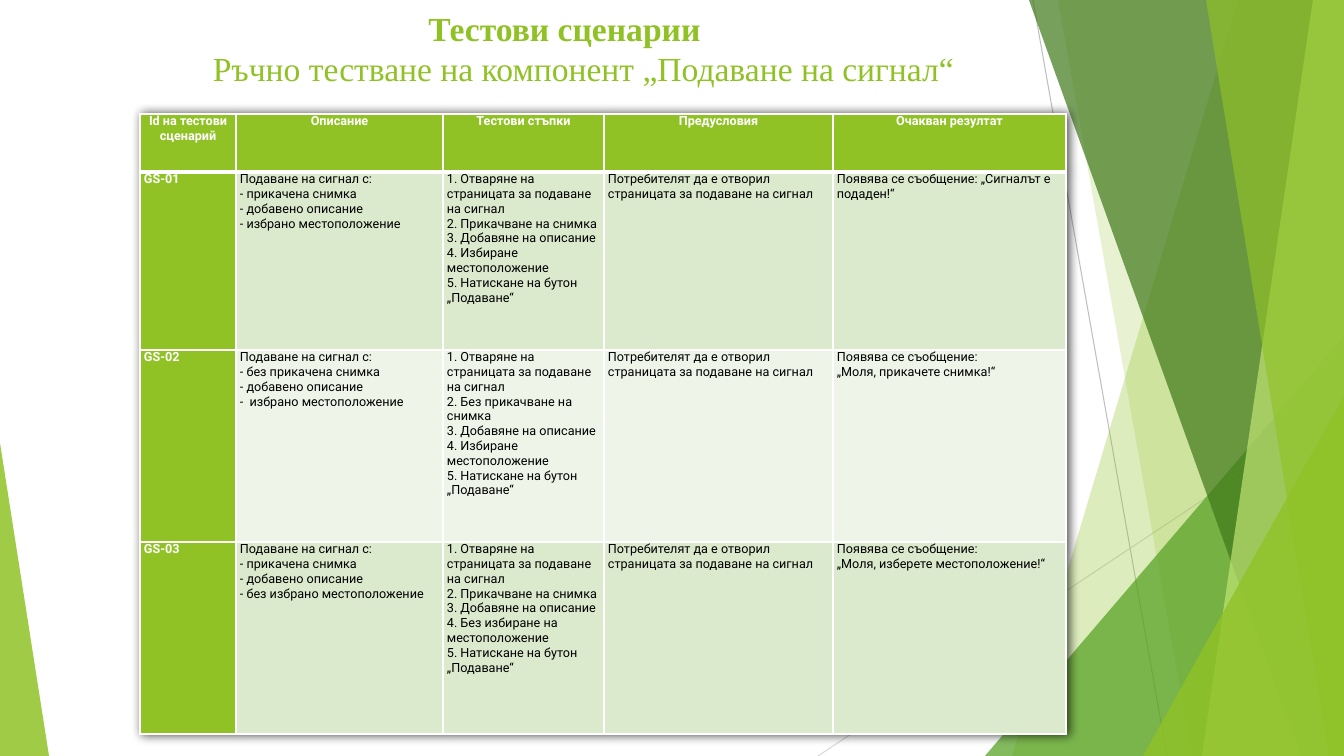
from lxml import etree
from pptx import Presentation
from pptx.dml.color import RGBColor
from pptx.enum.shapes import MSO_CONNECTOR as Connector, MSO_SHAPE as Shape
from pptx.enum.text import MSO_ANCHOR as Anchor, PP_ALIGN as Align
from pptx.oxml import parse_xml
from pptx.oxml.ns import nsdecls, qn
from pptx.util import Emu, Pt

WIDTH, HEIGHT = 1344, 756
GREEN, WHITE, BLACK = "90C226", "FFFFFF", "000000"
BANDS = ["DBE9CD", "EEF4E8"]

TITLE = [("Тестови сценарии", True),
         ("Ръчно тестване на компонент „Подаване на сигнал“", False)]
TITLE_BOX = (91, 0, 947, 145)
TITLE_INDENT = 38

HEADERS = ["Id на тестови сценарий", "Описание", "Тестови стъпки",
           "Предусловия", "Очакван резултат"]
INTRO = "Подаване на сигнал с:"
OPEN_PAGE = "1. Отваряне на страницата за подаване на сигнал"
ADD_PHOTO = "2. Прикачване на снимка"
ADD_TEXT = "3. Добавяне на описание"
PICK_PLACE = "4. Избиране местоположение"
SUBMIT = "5. Натискане на бутон „Подаване“"
PRECONDITION = "Потребителят да е отворил страницата за подаване на сигнал"
MESSAGE = "Появява се съобщение:"
SCENARIOS = [
    (["GS-01"],
     [INTRO, "- прикачена снимка", "- добавено описание", "- избрано местоположение"],
     [OPEN_PAGE, ADD_PHOTO, ADD_TEXT, PICK_PLACE, SUBMIT],
     [PRECONDITION],
     [MESSAGE + " „Сигналът е подаден!“"]),
    (["GS-02"],
     [INTRO, "- без прикачена снимка", "- добавено описание", "-  избрано местоположение"],
     [OPEN_PAGE, "2. Без прикачване на снимка", ADD_TEXT, PICK_PLACE, SUBMIT],
     [PRECONDITION],
     [MESSAGE, "„Моля, прикачете снимка!“"]),
    (["GS-03"],
     [INTRO, "- прикачена снимка", "- добавено описание", "- без избрано местоположение"],
     [OPEN_PAGE, ADD_PHOTO, ADD_TEXT, "4. Без избиране на местоположение", SUBMIT],
     [PRECONDITION],
     [MESSAGE, "„Моля, изберете местоположение!“"]),
]
TABLE_LEFT, TABLE_TOP = 140, 114
COLUMNS = [96, 207, 161, 229, 233]
ROWS = [58, 178, 192, 192]

# start, end, colour
LINES = [((1033, 0), (1167, HEIGHT), "BFBFBF"),
         ((WIDTH, 406), (818, HEIGHT), "D9D9D9")]
# Wedges: top x, bottom x (both run to the right edge).
# Triangles: left, top, width, apex position (all stand on the bottom edge).
FACETS = [
    ("wedge", (1238, 1012), GREEN, 30),
    ("wedge", (1058, 1192), GREEN, 20),
    ("triangle", (985, 336, 359, 1), "54A021", 72),
    ("wedge", (1029, 1301), "3F7819", 70),
    ("wedge", (1313, 1202), "C0E474", 70),
    ("wedge", (1206, 1329), GREEN, 65),
    ("triangle", (1143, 396, 201, 1), GREEN, 80),
    ("triangle", (0, 443, 49, 0), GREEN, 85),
]


def px(length):
    return Emu(round(length * 914400 / 100.8))


def color(value):
    return RGBColor.from_string(value)


def add_run(paragraph, text, font_name, size, value, bold):
    run = paragraph.add_run()
    run.text = text
    run.font.name = font_name
    run.font.size = Pt(size)
    run.font.bold = bold
    run.font.color.rgb = color(value)


def add_line(slide, start, end, value):
    line = slide.shapes.add_connector(Connector.STRAIGHT, *map(px, start + end))
    line.line.color.rgb = color(value)
    line.line.width = Pt(0.75)
    etree.SubElement(line._element.spPr, qn("a:effectLst"))


def add_facet(slide, kind, geometry, value, opacity):
    if kind == "wedge":
        top, bottom = geometry
        builder = slide.shapes.build_freeform(px(top), px(0))
        corners = [(WIDTH, 0), (WIDTH, HEIGHT), (bottom, HEIGHT)]
        builder.add_line_segments([(px(x), px(y)) for x, y in corners], close=True)
        shape = builder.convert_to_shape()
    else:
        left, top, width, apex = geometry
        shape = slide.shapes.add_shape(Shape.ISOSCELES_TRIANGLE, px(left), px(top),
                                       px(width), px(HEIGHT - top))
        shape.adjustments[0] = apex
    shape.shadow.inherit = False
    shape.line.fill.background()
    shape.fill.solid()
    shape.fill.fore_color.rgb = color(value)
    fill_color = shape._element.spPr.find(".//" + qn("a:srgbClr"))
    etree.SubElement(fill_color, qn("a:alpha"), val=str(opacity * 1000))


def add_title(slide):
    frame = slide.shapes.add_textbox(*map(px, TITLE_BOX)).text_frame
    frame.word_wrap = True
    frame.vertical_anchor = Anchor.TOP
    frame.margin_top = px(8)
    paragraph = frame.paragraphs[0]
    paragraph.alignment = Align.CENTER
    properties = paragraph._p.get_or_add_pPr()
    properties.set("marL", str(px(TITLE_INDENT)))
    properties.set("indent", str(-px(TITLE_INDENT)))
    for index, (text, bold) in enumerate(TITLE):
        if index:
            paragraph.add_line_break()
        add_run(paragraph, text, "Times New Roman", 24, GREEN, bold)


def set_borders(cell, widths):
    """Draw white borders; widths are points for left, right, top, bottom."""
    properties = cell._tc.get_or_add_tcPr()
    for index, (side, width) in enumerate(zip("LRTB", widths)):
        properties.insert(index, parse_xml(
            f'<a:ln{side} {nsdecls("a")} w="{Pt(width)}"><a:solidFill>'
            f'<a:srgbClr val="{WHITE}"/></a:solidFill></a:ln{side}>'))


def fill_cell(cell, lines, row, column):
    header = row == 0
    strong = header or column == 0
    cell.margin_left = cell.margin_right = px(4)
    cell.margin_top = cell.margin_bottom = 0
    cell.fill.solid()
    cell.fill.fore_color.rgb = color(GREEN if strong else BANDS[(row - 1) % 2])
    set_borders(cell, (1, 1, 3 if row == 1 else 1, 3 if header else 1))
    frame = cell.text_frame
    for index, text in enumerate(lines):
        paragraph = frame.add_paragraph() if index else frame.paragraphs[0]
        paragraph.alignment = Align.CENTER if header else Align.LEFT
        add_run(paragraph, text, "Roboto", 9, WHITE if strong else BLACK, strong)


def add_scenario_table(slide):
    table = slide.shapes.add_table(
        len(ROWS), len(COLUMNS), px(TABLE_LEFT), px(TABLE_TOP),
        px(sum(COLUMNS)), px(sum(ROWS))).table
    for column, width in zip(table.columns, COLUMNS):
        column.width = px(width)
    for row, height in zip(table.rows, ROWS):
        row.height = px(height)
    contents = [[[header] for header in HEADERS]] + SCENARIOS
    for row, cells in enumerate(contents):
        for column, lines in enumerate(cells):
            fill_cell(table.cell(row, column), lines, row, column)
    table._tbl.tblPr.insert(0, parse_xml(
        f'<a:effectLst {nsdecls("a")}><a:outerShdw blurRad="{px(10)}" dist="{px(2)}" '
        f'dir="0" algn="ctr" rotWithShape="0"><a:srgbClr val="{BLACK}">'
        '<a:alpha val="70000"/></a:srgbClr></a:outerShdw></a:effectLst>'))


def main():
    presentation = Presentation()
    presentation.slide_width, presentation.slide_height = px(WIDTH), px(HEIGHT)
    slide = presentation.slides.add_slide(presentation.slide_layouts[6])
    for line in LINES:
        add_line(slide, *line)
    for facet in FACETS:
        add_facet(slide, *facet)
    add_title(slide)
    add_scenario_table(slide)
    presentation.save("out.pptx")


if __name__ == "__main__":
    main()
